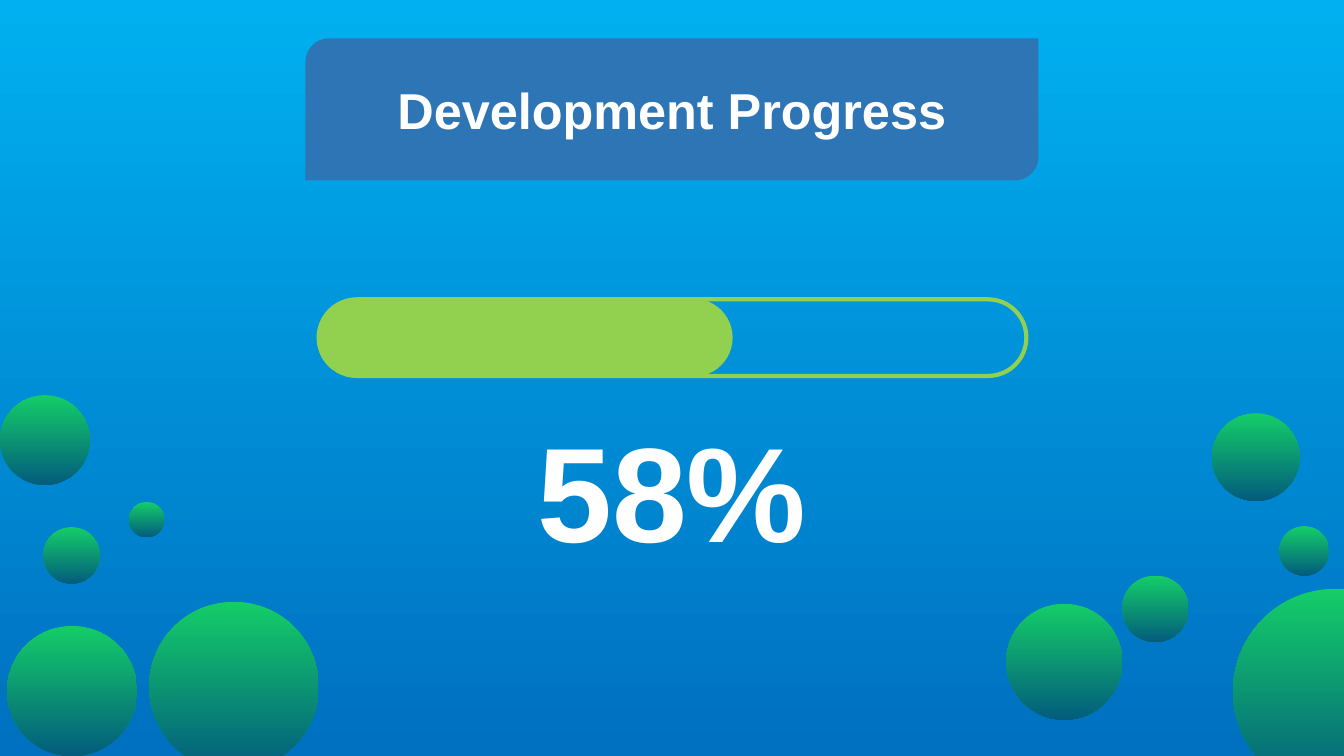
from dataclasses import dataclass

from pptx import Presentation
from pptx.dml.color import RGBColor
from pptx.enum.shapes import MSO_SHAPE as Shape
from pptx.enum.text import MSO_ANCHOR as Anchor, MSO_AUTO_SIZE as AutoSize, PP_ALIGN as Align
from pptx.util import Inches, Pt


@dataclass(frozen=True)
class Theme:
    font: str = "Arial"
    sky: tuple = ("00B0F0", "0070C0")
    bubble: tuple = ("14CD68", "035C7D")
    bar: str = "92D050"
    banner: str = "2E75B6"
    text: str = "FFFFFF"
    title_size: int = 36
    percent_size: int = 96


THEME = Theme()

# Left, top and diameter in inches
BUBBLES = [
    (0.07, 6.21, 1.29),
    (1.48, 5.97, 1.68),
    (0.43, 5.23, 0.56),
    (1.28, 4.98, 0.35),
    (0, 3.92, 0.89),
    (12.23, 5.84, 2.04),
    (12.69, 5.22, 0.49),
    (12.02, 4.1, 0.87),
    (9.98, 5.99, 1.15),
    (11.13, 5.71, 0.66),
]
BAR_LEFT, BAR_TOP, BAR_HEIGHT = 3.16, 2.97, 0.76
BAR_WIDTH, DONE_WIDTH = 7.02, 4.1


def fill_downward(fill, colors):
    """Apply a linear gradient running from top to bottom."""
    fill.gradient()
    fill.gradient_angle = 270
    for stop, color in zip(fill.gradient_stops, colors):
        stop.color.rgb = RGBColor.from_string(color)


def add_plain_shape(page, kind, left, top, width, height, color=None):
    """Add a shape without shadow or outline; no colour leaves it hollow."""
    shape = page.shapes.add_shape(
        kind, Inches(left), Inches(top), Inches(width), Inches(height)
    )
    shape.shadow.inherit = False
    shape.line.fill.background()
    if color:
        shape.fill.solid()
        shape.fill.fore_color.rgb = RGBColor.from_string(color)
    else:
        shape.fill.background()
    return shape


def add_bubble(page, left, top, diameter):
    bubble = add_plain_shape(page, Shape.OVAL, left, top, diameter, diameter)
    fill_downward(bubble.fill, THEME.bubble)


def add_bar(page, width, line_width, color=None):
    bar = add_plain_shape(
        page, Shape.ROUNDED_RECTANGLE, BAR_LEFT, BAR_TOP, width, BAR_HEIGHT, color
    )
    bar.adjustments[0] = 0.5
    bar.line.color.rgb = RGBColor.from_string(THEME.bar)
    bar.line.width = Pt(line_width)


def write_centered(box, text, size):
    frame = box.text_frame
    frame.word_wrap = True
    frame.vertical_anchor = Anchor.MIDDLE
    para = frame.paragraphs[0]
    para.alignment = Align.CENTER
    span = para.add_run()
    span.text = text
    span.font.color.rgb = RGBColor.from_string(THEME.text)
    for name, value in {"name": THEME.font, "size": Pt(size), "bold": True}.items():
        setattr(span.font, name, value)


def add_title(page, text):
    banner = add_plain_shape(
        page, Shape.ROUND_2_DIAG_RECTANGLE, 3.03, 0.38, 7.27, 1.41, THEME.banner
    )
    write_centered(banner, text, THEME.title_size)


def add_percentage(page, text):
    box = page.shapes.add_textbox(Inches(5.16), Inches(3.99), Inches(3.01), Inches(1.72))
    write_centered(box, text, THEME.percent_size)
    box.text_frame.auto_size = AutoSize.SHAPE_TO_FIT_TEXT


def main():
    deck = Presentation()
    deck.slide_width, deck.slide_height = Inches(13.33), Inches(7.5)
    page = deck.slides.add_slide(deck.slide_layouts[6])
    fill_downward(page.background.fill, THEME.sky)
    for bubble in BUBBLES:
        add_bubble(page, *bubble)
    add_bar(page, BAR_WIDTH, line_width=3)
    add_bar(page, DONE_WIDTH, line_width=1, color=THEME.bar)
    add_title(page, "Development Progress")
    add_percentage(page, "58%")
    deck.save("out.pptx")


if __name__ == "__main__":
    main()
